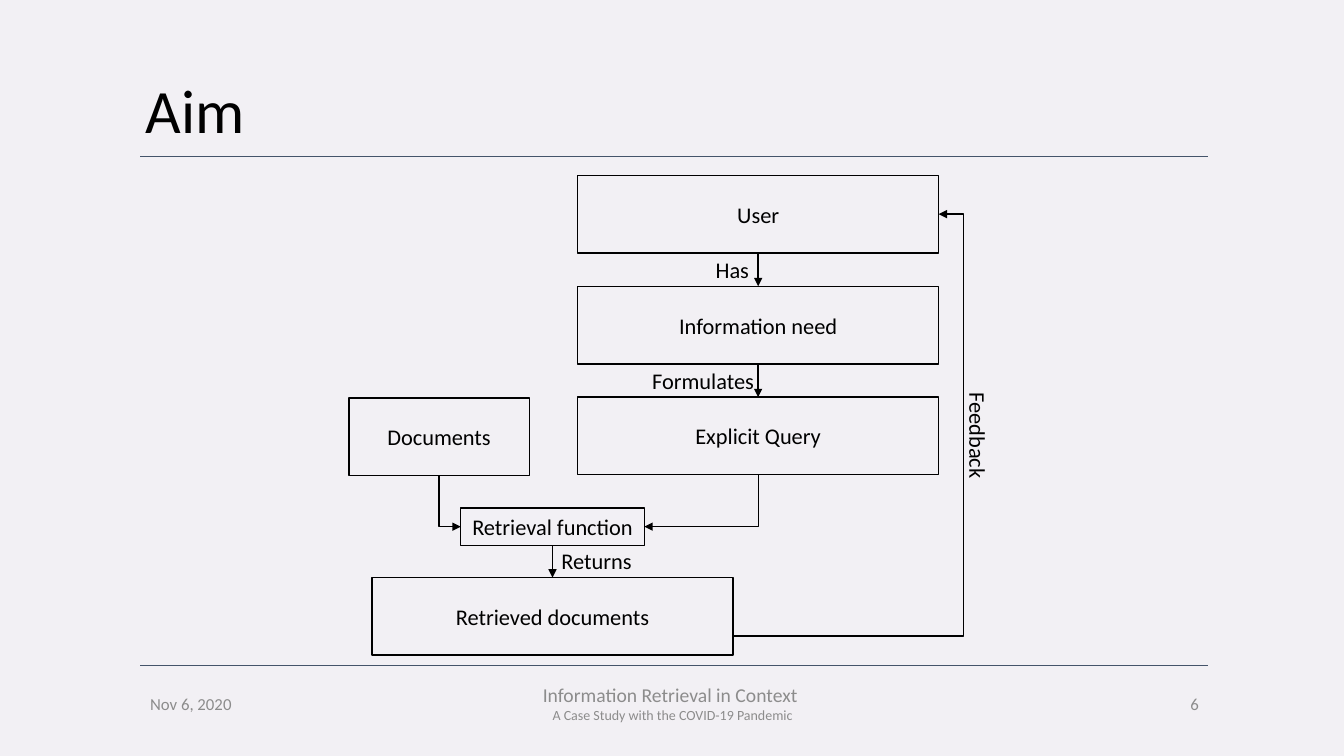
from lxml.etree import SubElement
from pptx import Presentation
from pptx.dml.color import RGBColor
from pptx.enum.shapes import MSO_CONNECTOR as LINK, MSO_SHAPE
from pptx.enum.text import MSO_ANCHOR as ANCHOR, MSO_AUTO_SIZE as FIT, PP_ALIGN as ALIGN
from pptx.oxml.ns import qn
from pptx.util import Inches, Pt

COLORS = {"background": "F2F0F4", "function": "F2F0F5", "ink": "000000",
          "rule": "44546A", "muted": "8C8C8C"}
TOP, LEFT, BOTTOM, RIGHT = range(4)


def color(name):
    """Return the named colour."""
    return RGBColor.from_string(COLORS[name])


def write(shape, *lines, sizes=(16,), ink="ink", align=ALIGN.LEFT,
          anchor=ANCHOR.MIDDLE, wrap=True, spacing=None):
    """Fill a shape with one paragraph per line of text."""
    frame = shape.text_frame
    frame.word_wrap = wrap
    frame.auto_size = FIT.NONE if wrap else FIT.SHAPE_TO_FIT_TEXT
    frame.vertical_anchor = anchor
    for index, (line, size) in enumerate(zip(lines, sizes)):
        paragraph = frame.add_paragraph() if index else frame.paragraphs[0]
        paragraph.alignment = align
        paragraph.line_spacing = spacing
        run = paragraph.add_run()
        run.text = line
        run.font.name = "Calibri"
        run.font.size = Pt(size)
        run.font.color.rgb = color(ink)


def add_text(slide, box, *lines, **style):
    """Add a text box at the given left, top, width and height."""
    holder = slide.shapes.add_textbox(*map(Inches, box))
    write(holder, *lines, **style)
    return holder


def add_node(slide, box, text, fill=None, weight=1, wrap=True):
    """Add an outlined, centred box of the diagram."""
    node = slide.shapes.add_shape(MSO_SHAPE.RECTANGLE, *map(Inches, box))
    node.shadow.inherit = False
    if fill:
        node.fill.solid()
        node.fill.fore_color.rgb = color(fill)
    else:
        node.fill.background()
    node.line.color.rgb = color("ink")
    node.line.width = Pt(weight)
    write(node, text, align=ALIGN.CENTER, wrap=wrap)
    return node


def add_line(slide, kind=LINK.STRAIGHT, start=(0, 0), end=(0, 0), ink="ink", arrow=True):
    """Add a shadowless connector, with an arrowhead unless told otherwise."""
    line = slide.shapes.add_connector(kind, *map(Inches, (*start, *end)))
    line.line.color.rgb = color(ink)
    line.line.width = Pt(1)
    if arrow:
        SubElement(line.line._get_or_add_ln(), qn("a:tailEnd"), type="triangle")
    SubElement(line._element.spPr, qn("a:effectLst"))
    return line


def join(slide, source, source_side, target, target_side, kind=LINK.STRAIGHT):
    """Join the sides of two nodes with an arrow."""
    arrow = add_line(slide, kind)
    arrow.begin_connect(source, source_side)
    arrow.end_connect(target, target_side)
    return arrow


def join_corner(slide, source, target, target_side):
    """Lead an arrow straight down from a node, then sideways into another."""
    arrow = join(slide, source, BOTTOM, target, target_side, LINK.ELBOW)
    across, down = arrow.end_x - arrow.begin_x, arrow.end_y - arrow.begin_y
    center_x = (arrow.begin_x + arrow.end_x) // 2
    center_y = (arrow.begin_y + arrow.end_y) // 2
    arrow.width, arrow.height = down, abs(across)
    arrow.left, arrow.top = center_x - down // 2, center_y - abs(across) // 2
    properties = arrow._element.spPr
    properties.find(qn("a:prstGeom")).set("prst", "bentConnector2")
    frame = properties.find(qn("a:xfrm"))
    frame.set("rot", "16200000" if across > 0 else "5400000")
    frame.set("flipH", "1" if across > 0 else "0")


def add_feedback(slide, start, target, bend):
    """Loop an arrow around the right of the diagram back to a node."""
    loop = add_line(slide, LINK.ELBOW, start, start)
    loop.end_connect(target, RIGHT)
    geometry = loop._element.spPr.find(qn("a:prstGeom"))
    guides = geometry.find(qn("a:avLst"))
    if guides is None:
        guides = SubElement(geometry, qn("a:avLst"))
    SubElement(guides, qn("a:gd"), name="adj1", fmla=f"val {round(bend * 100000)}")


def add_header(slide, left, top, width):
    """Add the title and the rule under it."""
    add_text(slide, (left - 0.04, top, 11.5, 1.45), "Aim", sizes=(44,), spacing=0.9)
    add_line(slide, start=(left, top + 1.15), end=(left + width, top + 1.15),
             ink="rule", arrow=False)


def add_diagram(slide, left, top):
    """Add the retrieval diagram from its top left corner."""
    wide, high = 3.58, 0.77
    column = left + 2.27
    user, need, query = [
        add_node(slide, (column, top + row * 1.1, wide, high), text)
        for row, text in enumerate(("User", "Information need", "Explicit Query"))]
    documents = add_node(slide, (left, top + 2.21, wide / 2, high), "Documents")
    retrieved = add_node(slide, (left + 0.23, top + 3.99, wide, high), "Retrieved documents")
    function = add_node(slide, (left + 1.11, top + 3.3, 1.82, 0.37), "Retrieval function",
                        fill="function", weight=0.75, wrap=False)
    for source, target in ((user, need), (need, query), (function, retrieved)):
        join(slide, source, BOTTOM, target, TOP)
    join_corner(slide, documents, function, LEFT)
    join_corner(slide, query, function, RIGHT)
    add_feedback(slide, (left + 0.23 + wide, top + 4.57), user, 1.12)
    for text, x, y, width, turn in (("Has", 3.54, 0.75, 0.54, 0),
                                    ("Formulates", 2.91, 1.85, 1.23, 0),
                                    ("Returns", 2.01, 3.64, 0.91, 0),
                                    ("Feedback", 5.71, 2.4, 1.06, 90)):
        label = add_text(slide, (left + x, top + y, width, 0.37), text,
                         anchor=ANCHOR.TOP, wrap=False)
        label.rotation = turn


def add_footer(slide, left, top, width):
    """Add the lower rule with date, talk title and page number."""
    add_line(slide, start=(left, top), end=(left + width, top), ink="rule", arrow=False)
    row, high = top + 0.18, 0.4
    add_text(slide, (left, row, 2.53, high), "Nov 6, 2020", sizes=(12,), ink="muted")
    add_text(slide, (left + 3.03, row, 4.5, high), "Information Retrieval in Context ",
             "A Case Study with the COVID-19 Pandemic", sizes=(14, 10),
             ink="muted", align=ALIGN.CENTER)
    add_text(slide, (left + width - 2.56, row, 2.57, high), "6", sizes=(12,),
             ink="muted", align=ALIGN.RIGHT)


def main():
    """Build the slide and save it."""
    deck = Presentation()
    deck.slide_width, deck.slide_height = Inches(13.33), Inches(7.5)
    slide = deck.slides.add_slide(deck.slide_layouts[6])
    slide.background.fill.solid()
    slide.background.fill.fore_color.rgb = color("background")
    add_header(slide, 1.39, 0.4, 10.59)
    add_diagram(slide, 3.46, 1.74)
    add_footer(slide, 1.39, 6.6, 10.59)
    deck.save("out.pptx")


if __name__ == "__main__":
    main()
